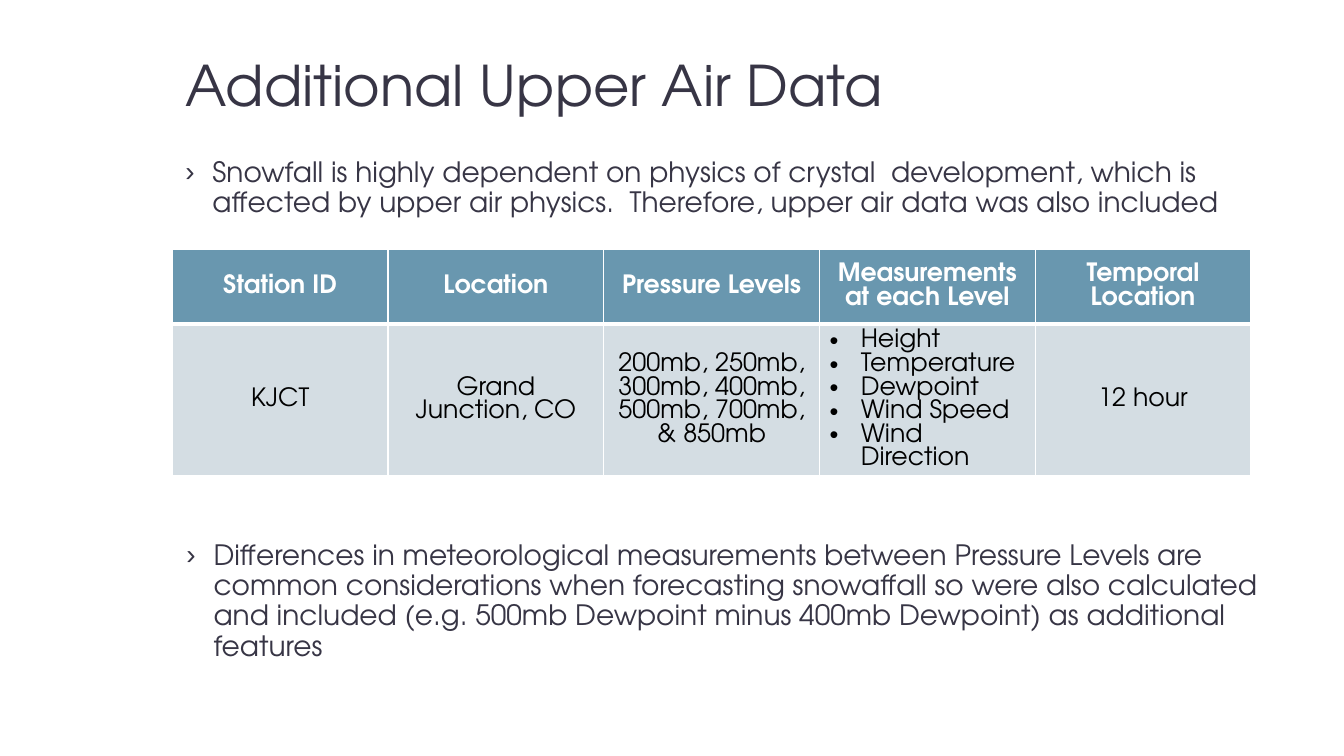
"""Builds the slide on additional upper air data."""
from dataclasses import dataclass

from lxml import etree
from pptx import Presentation
from pptx import util as u
from pptx.dml.color import RGBColor
from pptx.enum import text
from pptx.oxml import ns


@dataclass(frozen=True)
class Theme:
    """Colours, fonts and type sizes of the slide."""
    font: str = "TeX Gyre Adventor"
    bullet_font: str = "Arial"
    ink: str = "373545"
    black: str = "000000"
    white: str = "FFFFFF"
    header: str = "6997AF"
    band: str = "D4DDE3"
    title_size: int = 40
    body_size: int = 20
    table_size: int = 18
    body_spacing: float = 0.9


def write(frame, lines, *, size, color, font, bold=False, align=text.PP_ALIGN.LEFT,
          spacing=None, bullet=None, bullet_font=None, indent=0.0):
    """Fill a text frame with one formatted paragraph per line."""
    for index, line in enumerate(lines):
        paragraph = frame.paragraphs[0] if index == 0 else frame.add_paragraph()
        if bullet:
            properties = paragraph._p.get_or_add_pPr()
            properties.set("marL", str(u.Inches(indent)))
            properties.set("indent", str(-u.Inches(indent)))
            etree.SubElement(properties, ns.qn("a:buFont"), typeface=bullet_font)
            etree.SubElement(properties, ns.qn("a:buChar")).set("char", bullet)
        paragraph.alignment = align
        paragraph.line_spacing = spacing
        run = paragraph.add_run()
        run.text = line
        run.font.name, run.font.size, run.font.bold = font, u.Pt(size), bold
        run.font.color.rgb = RGBColor.from_string(color)


class SlideBuilder:
    """Places styled elements on a grid of 80 columns and 45 rows."""
    columns, rows = 80, 45

    def __init__(self, deck, theme):
        """Open a title-only slide in the deck."""
        self.deck, self.theme = deck, theme
        self.slide = deck.slides.add_slide(deck.slide_layouts[5])

    def across(self, count):
        """Return the width of a number of grid columns."""
        return u.Emu(round(self.deck.slide_width * count / self.columns))

    def down(self, count):
        """Return the height of a number of grid rows."""
        return u.Emu(round(self.deck.slide_height * count / self.rows))

    def area(self, left, top, width, height):
        """Turn grid units into a position and a size."""
        return self.across(left), self.down(top), self.across(width), self.down(height)

    def title(self, heading, *place):
        """Move and fill the title placeholder."""
        holder = self.slide.shapes.title
        holder.left, holder.top, holder.width, holder.height = self.area(*place)
        frame = holder.text_frame
        frame.word_wrap = True
        frame.auto_size = text.MSO_AUTO_SIZE.NONE
        frame.vertical_anchor = text.MSO_ANCHOR.MIDDLE
        write(frame, [heading], size=self.theme.title_size, color=self.theme.ink,
              font=self.theme.font, spacing=self.theme.body_spacing)

    def point(self, statement, *place):
        """Add a bulleted statement."""
        frame = self.slide.shapes.add_textbox(*self.area(*place)).text_frame
        frame.word_wrap = True
        frame.auto_size = text.MSO_AUTO_SIZE.SHAPE_TO_FIT_TEXT
        write(frame, [statement], size=self.theme.body_size, color=self.theme.ink,
              font=self.theme.font, spacing=self.theme.body_spacing,
              bullet="›", bullet_font=self.theme.bullet_font, indent=0.27)

    def border(self, cell, top, bottom):
        """Draw white cell borders with given top and bottom widths."""
        properties = cell._tc.get_or_add_tcPr()
        for side, width in zip("LRTB", (1, 1, top, bottom)):
            edge = etree.SubElement(properties, ns.qn(f"a:ln{side}"), w=str(u.Pt(width)))
            fill = etree.SubElement(edge, ns.qn("a:solidFill"))
            etree.SubElement(fill, ns.qn("a:srgbClr"), val=self.theme.white)

    def table(self, records, heights, *place):
        """Add a table whose first record is the header; lists become bullets."""
        theme = self.theme
        grid = self.slide.shapes.add_table(
            len(records), len(records[0]), *self.area(*place)).table
        for row, height in zip(grid.rows, heights):
            row.height = self.down(height)
        for r, record in enumerate(records):
            is_header = r == 0
            for c, content in enumerate(record):
                cell = grid.cell(r, c)
                self.border(cell, 1, 3 if is_header else 1)
                cell.fill.solid()
                cell.fill.fore_color.rgb = RGBColor.from_string(
                    theme.header if is_header else theme.band)
                cell.vertical_anchor = text.MSO_ANCHOR.MIDDLE
                listed = isinstance(content, list)
                write(cell.text_frame, content if listed else [content],
                      size=theme.table_size, font=theme.font, bold=is_header,
                      color=theme.white if is_header else theme.black,
                      align=text.PP_ALIGN.LEFT if listed else text.PP_ALIGN.CENTER,
                      bullet="•" if listed else None,
                      bullet_font=theme.bullet_font, indent=0.31)


STATIONS = [
    ["Station ID", "Location", "Pressure Levels", "Measurements at each Level",
     "Temporal Location"],
    ["KJCT", "Grand Junction, CO",
     "200mb, 250mb, 300mb, 400mb, 500mb, 700mb, & 850mb",
     ["Height", "Temperature", "Dewpoint", "Wind Speed", "Wind Direction"],
     "12 hour"],
]


def main():
    """Build and save the slide."""
    deck = Presentation()
    deck.slide_width, deck.slide_height = u.Inches(13.33), u.Inches(7.5)
    page = SlideBuilder(deck, Theme())
    page.title("Additional Upper Air Data", 10.44, 1.2, 64.2, 8.16)
    page.table(STATIONS, (4.48, 9), 10.26, 14.82, 64.2, 13.48)
    page.point("Snowfall is highly dependent on physics of crystal  development, "
               "which is affected by upper air physics.  Therefore, upper air data "
               "was also included", 10.44, 9.12, 66.06, 4.26)
    page.point("Differences in meteorological measurements between Pressure Levels "
               "are common considerations when forecasting snowaffall so were also "
               "calculated and included (e.g. 500mb Dewpoint minus 400mb Dewpoint) "
               "as additional features", 10.5, 31.92, 65.52, 7.86)
    deck.save("out.pptx")


if __name__ == "__main__":
    main()
